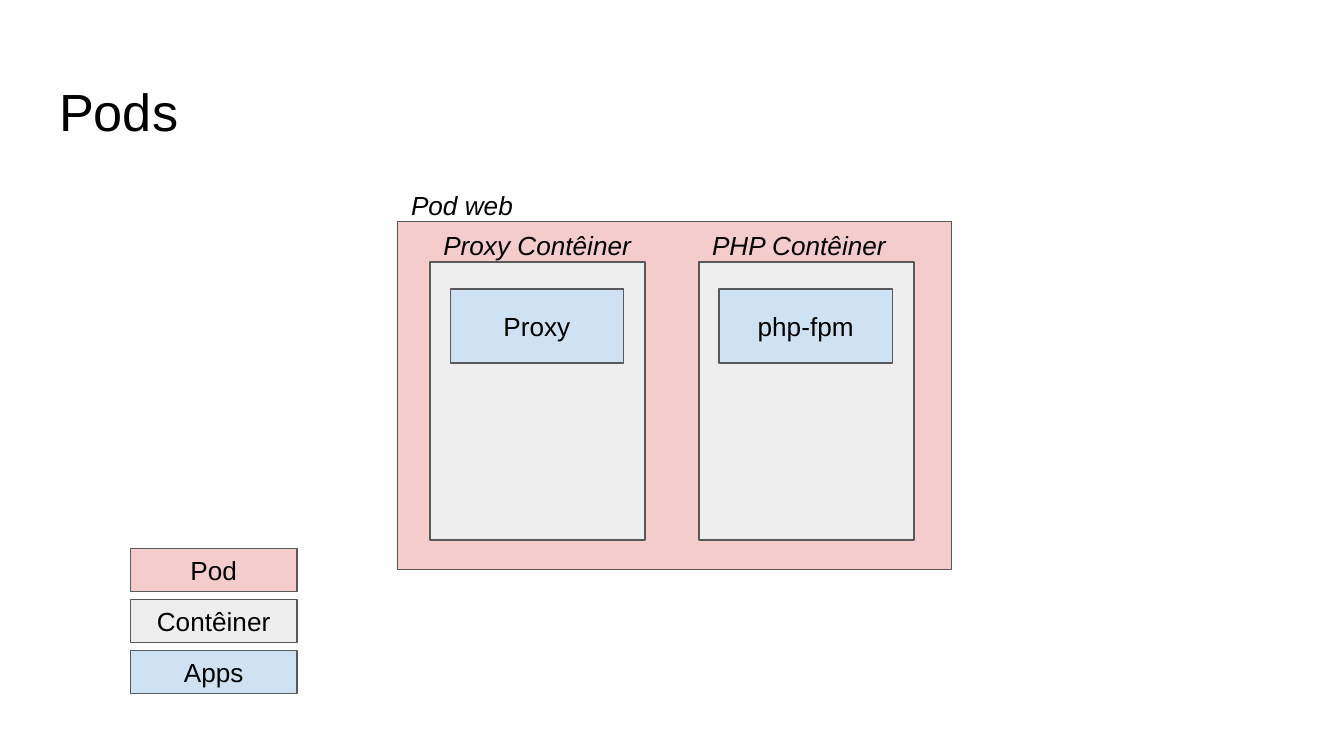
"""Build a slide showing a web pod, its two containers and a colour legend."""
from dataclasses import dataclass

from pptx import Presentation
from pptx import util as u
from pptx.dml.color import RGBColor
from pptx.enum import shapes, text
from pptx.shapes.shapetree import GroupShapes, SlideShapes
from pptx.text.text import TextFrame

POD_PINK = RGBColor(0xF4, 0xCC, 0xCC)
CONTAINER_GREY = RGBColor(0xEE, 0xEE, 0xEE)
APP_BLUE = RGBColor(0xCF, 0xE2, 0xF3)
OUTLINE = RGBColor(0x59, 0x59, 0x59)
BLACK = RGBColor(0, 0, 0)
FONT = "Arial"
INSET = 0.1
LABEL_HEIGHT = 0.34

ShapeTree = SlideShapes | GroupShapes


@dataclass(frozen=True)
class Area:
    left: float
    top: float
    width: float
    height: float

    def lengths(self) -> tuple:
        return tuple(u.Inches(n) for n in (self.left, self.top, self.width, self.height))


@dataclass(frozen=True)
class Container:
    label: str
    app: str
    left: float


POD = Area(2.96, 1.65, 4.12, 2.59)
CONTAINERS = (
    Container("Proxy Contêiner", "Proxy", 3.2),
    Container("PHP Contêiner", "php-fpm", 5.2),
)
LEGEND = (("Pod", POD_PINK), ("Contêiner", CONTAINER_GREY), ("Apps", APP_BLUE))


def write(frame: TextFrame, wording: str, size: float = 14, italic: bool = False,
          alignment: text.PP_ALIGN = text.PP_ALIGN.LEFT,
          anchor: text.MSO_ANCHOR = text.MSO_ANCHOR.TOP) -> None:
    frame.text = wording
    frame.word_wrap = True
    frame.auto_size = text.MSO_AUTO_SIZE.NONE
    frame.vertical_anchor = anchor
    frame.margin_left = frame.margin_top = frame.margin_bottom = u.Inches(INSET)
    frame.margin_right = 0 if italic else u.Inches(INSET)
    paragraph = frame.paragraphs[0]
    paragraph.alignment = alignment
    font = paragraph.runs[0].font
    font.name, font.size, font.italic = FONT, u.Pt(size), italic
    font.color.rgb = BLACK


def add_box(tree: ShapeTree, area: Area, fill: RGBColor, wording: str = "") -> None:
    shape = tree.add_shape(shapes.MSO_SHAPE.RECTANGLE, *area.lengths())
    shape.shadow.inherit = False
    shape.fill.solid()
    shape.fill.fore_color.rgb = fill
    shape.line.color.rgb = OUTLINE
    shape.line.width = u.Pt(0.75)
    if wording:
        write(shape.text_frame, wording, alignment=text.PP_ALIGN.CENTER,
              anchor=text.MSO_ANCHOR.MIDDLE)


def add_label(tree: ShapeTree, area: Area, label: str) -> None:
    label_area = Area(area.left, area.top - LABEL_HEIGHT, area.width, LABEL_HEIGHT)
    write(tree.add_textbox(*label_area.lengths()).text_frame, label, italic=True)


def add_container(tree: ShapeTree, container: Container) -> None:
    area = Area(container.left, 1.95, 1.6, 2.07)
    group = tree.add_group_shape().shapes
    add_box(group, area, CONTAINER_GREY)
    add_label(group, area, container.label)
    add_box(group, Area(area.left + 0.15, area.top + 0.2, 1.29, 0.55), APP_BLUE, container.app)


def main() -> None:
    presentation = Presentation()
    presentation.slide_width = u.Inches(10)
    presentation.slide_height = presentation.slide_width * 9 // 16
    slide = presentation.slides.add_slide(presentation.slide_layouts.get_by_name("Title Only"))

    title = slide.shapes.title
    title.left, title.top, title.width, title.height = Area(0.34, 0.49, 9.32, 0.63).lengths()
    write(title.text_frame, "Pods", size=28)

    add_box(slide.shapes, POD, POD_PINK)
    add_label(slide.shapes, POD, "Pod web")
    for container in CONTAINERS:
        add_container(slide.shapes, container)
    for row, (wording, fill) in enumerate(LEGEND):
        add_box(slide.shapes, Area(0.97, 4.08 + 0.38 * row, 1.24, 0.32), fill, wording)

    presentation.save("out.pptx")


if __name__ == "__main__":
    main()
